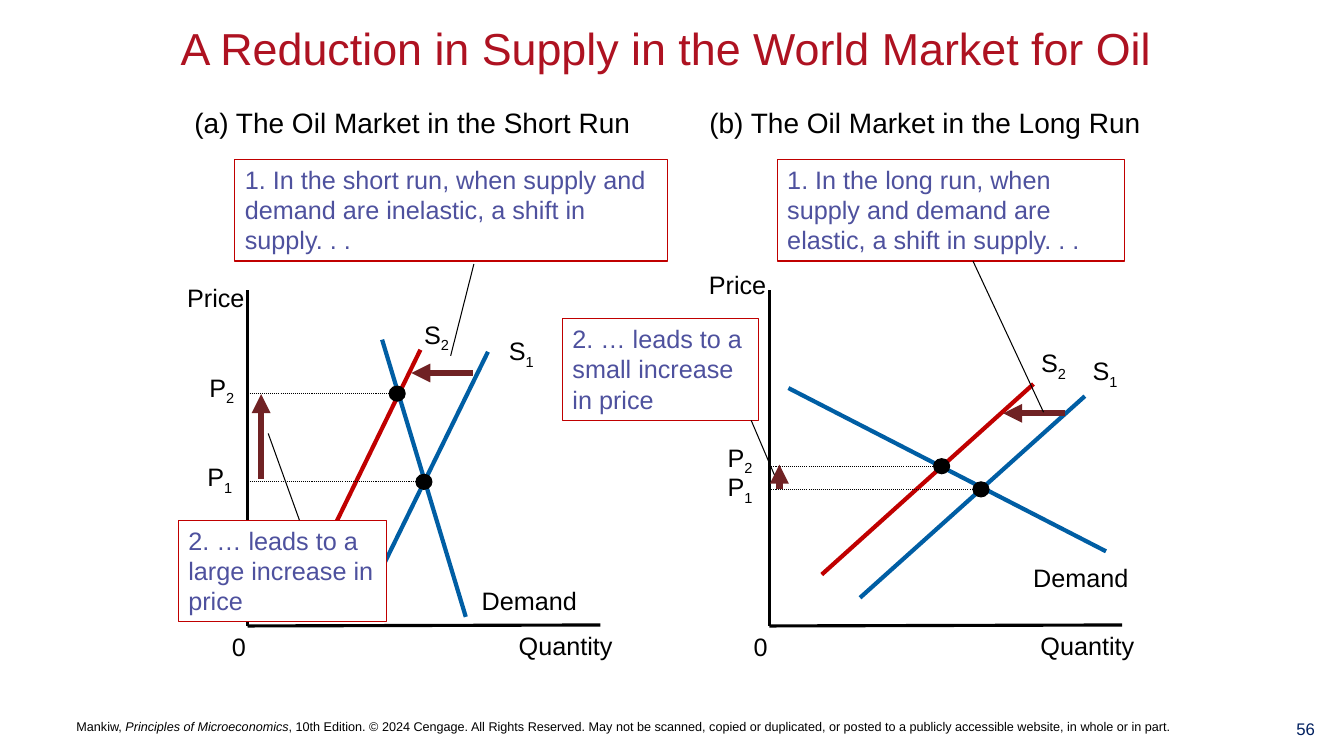
from lxml.etree import SubElement
from pptx import Presentation
from pptx.dml.color import RGBColor
from pptx.enum.dml import MSO_LINE
from pptx.enum.shapes import MSO_CONNECTOR, MSO_SHAPE
from pptx.enum.text import MSO_ANCHOR, PP_ALIGN
from pptx.oxml.ns import qn
from pptx.util import Inches, Pt

BLACK = RGBColor(0x00, 0x00, 0x00)
WHITE = RGBColor(0xFF, 0xFF, 0xFF)
CRIMSON = RGBColor(0xAE, 0x12, 0x21)
NAVY = RGBColor(0x00, 0x20, 0x60)
BLUE = RGBColor(0x00, 0x5E, 0xA4)
RED = RGBColor(0xC0, 0x00, 0x00)
MAROON = RGBColor(0x70, 0x22, 0x24)
VIOLET = RGBColor(0x4E, 0x51, 0x9E)

# Grid of 0.1 inch cells; the plots share a size and a baseline
CELL = 0.1
FLOOR, CEILING, PLOT_WIDTH = 62.1, 28.8, 35
LABEL_HEIGHT = 4


class MarketSlide:
    font_name = "Arial"

    def __init__(self, presentation):
        self.shapes = presentation.slides.add_slide(presentation.slide_layouts[6]).shapes

    def grid(self, *cells):
        return [Inches(cell * CELL) for cell in cells]

    def text(self, runs, area, size=18, color=BLACK, align=PP_ALIGN.CENTER,
             anchor=MSO_ANCHOR.TOP, wrap=False):
        """Add one paragraph; each run is a string or a (string, style) pair."""
        box = self.shapes.add_textbox(*self.grid(*area))
        frame = box.text_frame
        frame.word_wrap, frame.vertical_anchor = wrap, anchor
        paragraph = frame.paragraphs[0]
        paragraph.alignment = align
        font = paragraph.font
        font.name, font.size, font.color.rgb = self.font_name, Pt(size), color
        for part in [runs] if isinstance(runs, str) else runs:
            words, style = (part, None) if isinstance(part, str) else part
            run = paragraph.add_run()
            run.text = words
            if style == "italic":
                run.font.italic = True
            elif style == "subscript":
                run._r.get_or_add_rPr().set("baseline", "-25000")
        return box

    def symbol(self, letter, index, left, top):
        self.text([letter, (index, "subscript")], (left, top, 4.6, LABEL_HEIGHT))

    def line(self, ends, color=BLACK, width=0.75, dotted=False, arrow=False):
        line = self.shapes.add_connector(MSO_CONNECTOR.STRAIGHT, *self.grid(*ends))
        line.line.color.rgb, line.line.width = color, Pt(width)
        if dotted:
            line.line.dash_style = MSO_LINE.ROUND_DOT
        if arrow:
            SubElement(line.line._get_or_add_ln(), qn("a:tailEnd"), type="triangle")
        SubElement(line._element.spPr, qn("a:effectLst"))

    def equilibrium(self, x, y):
        dot = self.shapes.add_shape(MSO_SHAPE.OVAL, *self.grid(x - 0.8, y - 0.75, 1.6, 1.5))
        dot.shadow.inherit = False
        dot.fill.solid()
        dot.fill.fore_color.rgb = dot.line.color.rgb = BLACK
        dot.line.width = Pt(0.75)

    def callout(self, words, left, top, width, pointer, filled=False):
        box = self.text(words, (left, top, width, 10.1), color=VIOLET,
                        align=PP_ALIGN.LEFT, wrap=True)
        box.line.color.rgb, box.line.width = RED, Pt(0.75)
        if filled:
            box.fill.solid()
            box.fill.fore_color.rgb = WHITE
        self.line(pointer)

    def market(self, panel):
        origin = panel["origin"]
        # Price axis, demand and supply curves
        self.text("Price ", (origin - 7.05, panel["price_top"], 8.5, LABEL_HEIGHT))
        self.line((origin, CEILING, origin, FLOOR), width=2.25)
        self.line(panel["demand"], BLUE, 3)
        self.text("Demand ", (*panel["demand_label"], 12.3, LABEL_HEIGHT))
        for index, color in (("1", BLUE), ("2", RED)):
            curve, label = panel["supply"][index]
            self.line(curve, color, 3)
            self.symbol("S", index, *label)
        # Equilibrium points and their prices
        for index, (x, y, label) in panel["prices"].items():
            self.line((origin, y, x, y), dotted=True)
            self.equilibrium(x, y)
            self.symbol("P", index, *label)
        # Shift arrows and callouts
        for ends in panel["arrows"]:
            self.line(ends, MAROON, 4.5, arrow=True)
        for callout in panel["callouts"]:
            self.callout(*callout)
        # Quantity axis
        self.line((origin, FLOOR, origin + PLOT_WIDTH, FLOOR - 0.1), width=2.25)
        self.text("Quantity ", (origin + 25.85, FLOOR - 0.1, 12.1, LABEL_HEIGHT))
        self.text("0", (origin - 2.55, FLOOR, 3.4, LABEL_HEIGHT))


SHORT_RUN = {
    "origin": 24.55, "price_top": 27.5,
    "demand": (37.9, 33.7, 46.2, 61.2), "demand_label": (46.7, 57.6),
    "supply": {"1": ((48.4, 34.9, 36.3, 59.6), (49.4, 32.8)),
               "2": ((41.7, 34.7, 29.7, 59.3), (41, 31.2))},
    "prices": {"2": (39.4, 39.05, (19.7, 36.4)), "1": (42.05, 47.8, (19.5, 45.3))},
    "arrows": [(46.9, 37, 40.8, 37), (25.9, 47.5, 25.9, 39.1)],
    "callouts": [
        ("1. In the short run, when supply and demand are inelastic, a shift in supply. . .",
         23.3, 15.8, 42.9, (47, 26.2, 44.7, 35.3)),
        ("2. … leads to a large increase in price",
         17.7, 51.6, 20.6, (26.6, 43, 29.7, 51.6), True)],
}
LONG_RUN = {
    "origin": 76.3, "price_top": 26.2,
    "demand": (78.2, 38.5, 109.7, 54.7), "demand_label": (101.4, 55.3),
    "supply": {"1": ((107.6, 39.3, 85.3, 59.3), (107.3, 34.8)),
               "2": ((102.5, 38.1, 81.5, 57), (102.2, 34))},
    "prices": {"2": (93.4, 46.25, (71.1, 43.4)), "1": (97.3, 48.55, (71.1, 46.3))},
    "arrows": [(105.6, 41, 99.5, 41), (77.3, 48.5, 77.3, 46.1)],
    "callouts": [
        ("1. In the long run, when supply and demand are elastic, a shift in supply. . .",
         77.1, 15.8, 34.4, (96.5, 25.9, 103.5, 40.9)),
        ("2. … leads to a small increase in price",
         55.8, 31.6, 19.4, (76.8, 47.1, 74.5, 41.7))],
}


def main():
    presentation = Presentation()
    presentation.slide_width, presentation.slide_height = Inches(13.33), Inches(7.5)
    slide = MarketSlide(presentation)

    # Headings
    slide.text("A Reduction in Supply in the World Market for Oil", (1.1, 1.1, 130, 7.2),
               size=32, color=CRIMSON, anchor=MSO_ANCHOR.MIDDLE)
    slide.text("(a) The Oil Market in the Short Run", (18.3, 10, 45.6, 4.4),
               size=20, align=PP_ALIGN.LEFT)
    slide.text("(b) The Oil Market in the Long Run", (69.2, 10, 45.1, 4.4), size=20)

    # Both markets
    for panel in (SHORT_RUN, LONG_RUN):
        slide.market(panel)

    # Footer
    slide.text(["Mankiw, ", ("Principles of Microeconomics", "italic"),
                ", 10th Edition. © 2024 Cengage. All Rights Reserved. May not be scanned, "
                "copied or duplicated, or posted to a publicly accessible website, "
                "in whole or in part."],
               (6.6, 69.2, 121.1, 5.8), size=9, align=PP_ALIGN.LEFT,
               anchor=MSO_ANCHOR.MIDDLE, wrap=True)
    slide.text("56", (125.7, 70.8, 7.6, 4.1), size=12, color=NAVY, wrap=True)

    presentation.save("out.pptx")


if __name__ == "__main__":
    main()
